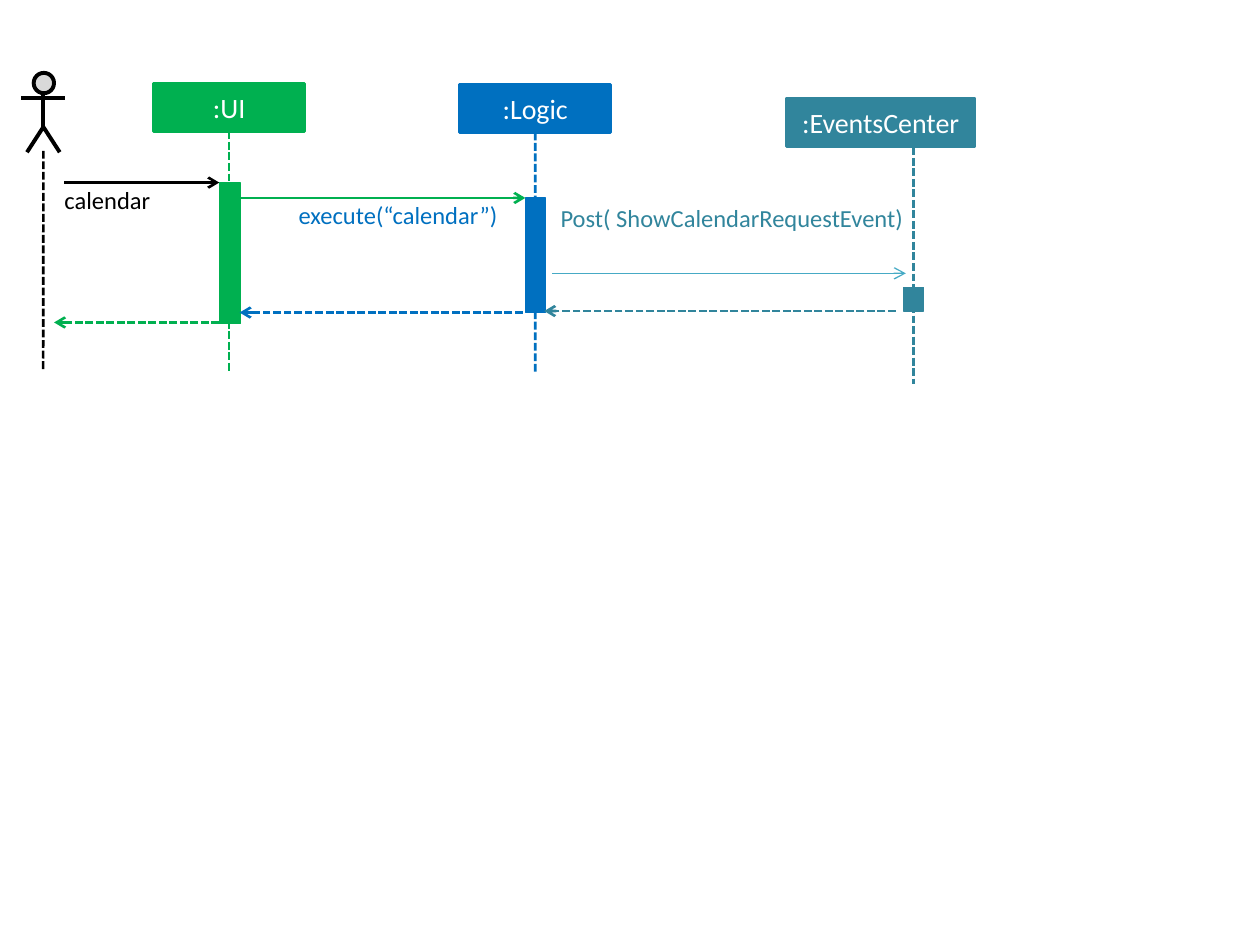
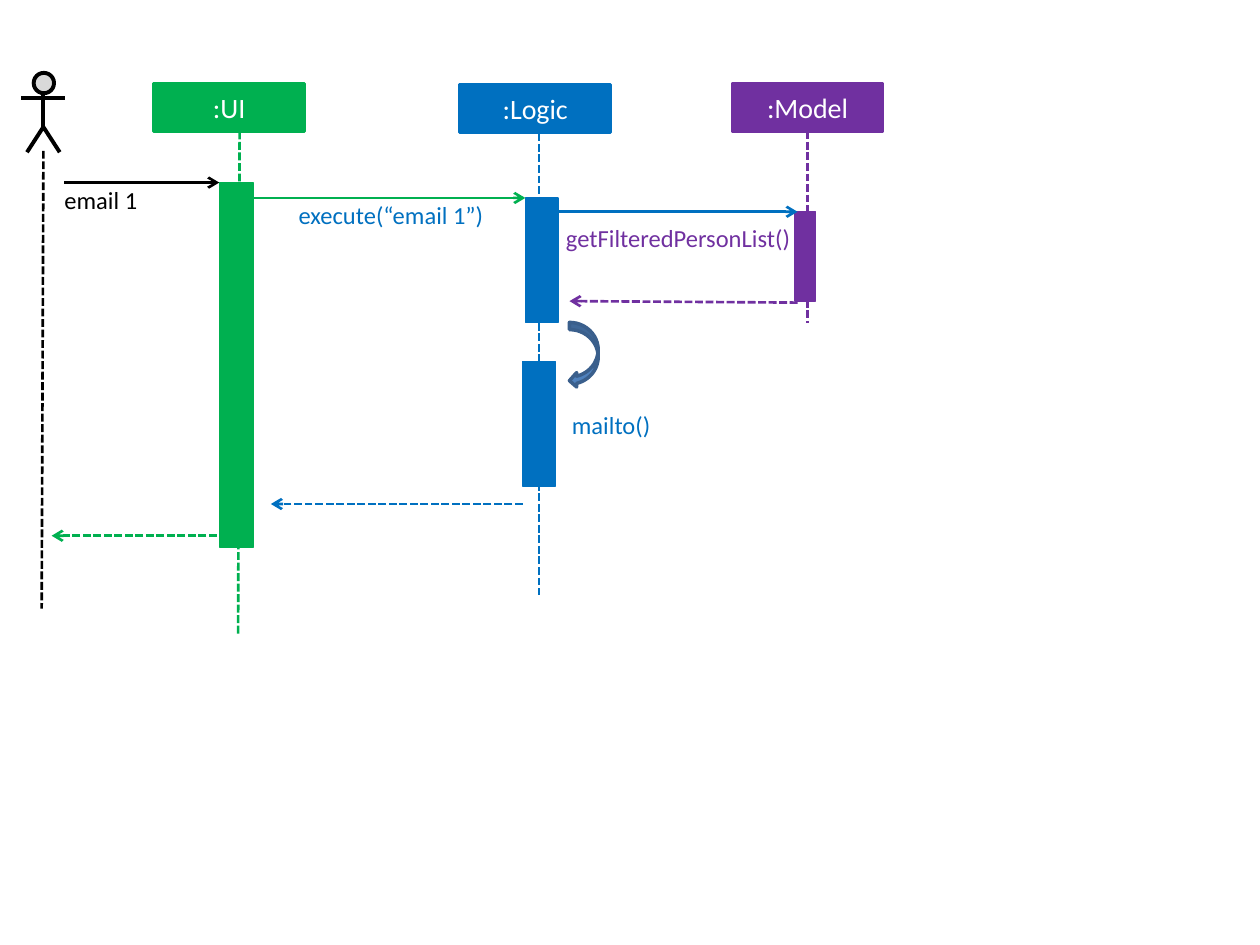
from pptx import Presentation
from pptx.dml.color import RGBColor
from pptx.enum.dml import MSO_LINE
from pptx.enum.shapes import MSO_CONNECTOR, MSO_SHAPE
from pptx.enum.text import MSO_ANCHOR, MSO_AUTO_SIZE, PP_ALIGN
from pptx.oxml.ns import qn
from pptx.oxml.xmlchemy import OxmlElement
from pptx.util import Cm, Pt

STRAIGHT = MSO_CONNECTOR.STRAIGHT
SYSTEM_DASH = MSO_LINE.SQUARE_DOT
RECTANGLE = MSO_SHAPE.RECTANGLE
HEAD_CIRCLE = MSO_SHAPE.FLOWCHART_CONNECTOR
SELF_CALL = MSO_SHAPE.CURVED_LEFT_ARROW
MIDDLE, TOP = MSO_ANCHOR.MIDDLE, MSO_ANCHOR.TOP
CENTER, LEFT = PP_ALIGN.CENTER, PP_ALIGN.LEFT
FIT_TEXT = MSO_AUTO_SIZE.SHAPE_TO_FIT_TEXT

COLOURS = {
    "actor": "000000",
    "face": "D9D9D9",
    "ui": "00B050",
    "logic": "0070C0",
    "model": "7030A0",
    "events": "31859C",
    "post": "46AAC5",
    "self_call": "4F81BD",
    "self_call_edge": "3A5F8C",
    "white": "FFFFFF",
}
FONT = "Calibri"

# All places and lengths are in centimetres
HEADER_WIDTH, HEADER_HEIGHT = 3.04, 0.97
HEADER_MIDDLE = HEADER_WIDTH / 2
LABEL_HEIGHT = 0.61
UI_BOX = (3.1, 1.68, HEADER_WIDTH, HEADER_HEIGHT)
LOGIC_BOX = (9.27, 1.7, HEADER_WIDTH, HEADER_HEIGHT)
MODEL_BOX = (14.76, 1.68, HEADER_WIDTH, HEADER_HEIGHT)
EVENTS_BOX = (15.85, 1.98, 3.81, HEADER_HEIGHT)
ACTOR_BOX = (0.43, 1.47, 0.89, 1.6)


def colour_of(name):
    return RGBColor.from_string(COLOURS[name])


def write(shape, text, size=14, colour="white", alignment=LEFT, anchor=TOP):
    frame = shape.text_frame
    frame.word_wrap = True
    frame.vertical_anchor = anchor
    paragraph = frame.paragraphs[0]
    paragraph.text = text
    paragraph.alignment = alignment
    font = paragraph.font
    font.name, font.size = FONT, Pt(size)
    font.color.rgb = colour_of(colour)


def label(slide, text, left, top, width, colour):
    box = slide.shapes.add_textbox(Cm(left), Cm(top), Cm(width), Cm(LABEL_HEIGHT))
    frame = box.text_frame
    frame.margin_left = frame.margin_right = 0
    frame.margin_top = frame.margin_bottom = 0
    frame.auto_size = FIT_TEXT
    write(box, text, colour=colour)


def add_filled(shapes, kind, box, fill, edge, weight):
    shape = shapes.add_shape(kind, *(Cm(length) for length in box))
    shape.shadow.inherit = False
    shape.fill.solid()
    shape.fill.fore_color.rgb = colour_of(fill)
    shape.line.color.rgb = colour_of(edge)
    shape.line.width = Pt(weight)
    return shape


def add_line(shapes, start, end, colour, weight=1.5, dashed=False, arrow=False):
    connector = shapes.add_connector(
        STRAIGHT, *(Cm(length) for length in (*start, *end)))
    connector.line.color.rgb = colour_of(colour)
    connector.line.width = Pt(weight)
    if dashed:
        connector.line.dash_style = SYSTEM_DASH
    properties = connector._element.spPr
    if arrow:
        arrowhead = OxmlElement("a:tailEnd")
        arrowhead.set("type", "arrow")
        properties.find(qn("a:ln")).append(arrowhead)
    properties.append(OxmlElement("a:effectLst"))
    return connector


def message(slide, start, end, colour, weight=1.5):
    add_line(slide.shapes, start, end, colour, weight, arrow=True)


def reply(slide, start, end, colour):
    add_line(slide.shapes, start, end, colour, dashed=True, arrow=True)


def actor(slide, box, lifeline_end):
    """Stick figure; lifeline_end is relative to the box."""
    left, top, width, height = box
    spine = left + width / 2
    hip = top + 1.09
    figure = slide.shapes.add_group_shape().shapes
    # Head, spine and arms
    add_filled(figure, HEAD_CIRCLE, (left + 0.25, top, 0.41, 0.41),
               "face", "actor", 2.25)
    add_line(figure, (spine, top + 0.41), (spine, hip), "actor", 2.25)
    add_line(figure, (left, top + 0.51), (left + width, top + 0.51), "actor", 2.25)
    # Legs
    feet = top + height
    builder = figure.build_freeform(Cm(spine - 0.33), Cm(feet))
    builder.add_line_segments(
        [(Cm(spine), Cm(hip)), (Cm(spine + 0.33), Cm(feet))], close=False)
    legs = builder.convert_to_shape()
    legs.shadow.inherit = False
    legs.fill.background()
    legs.line.color.rgb = colour_of("actor")
    legs.line.width = Pt(2.25)
    # Lifeline
    end_x, end_y = lifeline_end
    add_line(slide.shapes, (spine, feet - 0.03), (left + end_x, top + end_y),
             "actor", dashed=True)


def participant(slide, name, colour, box, lifelines, bars):
    """Header, lifelines and execution bars, all relative to the header box."""
    left, top, width, height = box
    header = add_filled(slide.shapes, RECTANGLE, box, colour, colour, 1.5)
    write(header, name, size=16, alignment=CENTER, anchor=MIDDLE)
    for start_x, start_y, end_x, end_y in lifelines:
        lifeline = add_line(slide.shapes, (left + start_x, top + start_y),
                            (left + end_x, top + end_y), colour, dashed=True)
        if (start_x, start_y) == (width / 2, height):
            lifeline.begin_connect(header, 2)
    for bar_x, bar_y, bar_width, bar_height in bars:
        bar = (left + bar_x, top + bar_y, bar_width, bar_height)
        add_filled(slide.shapes, RECTANGLE, bar, colour, colour, 0.75)


def command_call(slide, command, execute_width):
    """The user's command and its hand-over from UI to Logic."""
    message(slide, (1.3, 3.68), (4.42, 3.68), "actor")
    label(slide, command, 1.3, 3.73, 2.39, "actor")
    message(slide, (4.83, 3.99), (10.59, 3.99), "ui")
    label(slide, f"execute(“{command}”)", 6.02, 4.04, execute_width, "logic")


def calendar_slide(presentation):
    slide = presentation.slides.add_slide(presentation.slide_layouts[6])
    # Participants
    actor(slide, ACTOR_BOX, (0.44, 6.02))
    participant(slide, ":UI", "ui", UI_BOX,
                [(HEADER_MIDDLE, HEADER_HEIGHT, HEADER_MIDDLE, 5.82)],
                [(1.32, 2.01, 0.43, 2.84)])
    participant(slide, ":Logic", "logic", LOGIC_BOX,
                [(HEADER_MIDDLE, HEADER_HEIGHT, HEADER_MIDDLE, 5.79)],
                [(1.32, 2.29, 0.41, 2.31)])
    participant(slide, ":EventsCenter", "events", EVENTS_BOX,
                [(2.57, 0.99, 2.57, 5.77)],
                [(2.36, 3.81, 0.41, 0.48)])
    # Messages
    command_call(slide, "calendar", 4.17)
    message(slide, (11.13, 5.51), (18.26, 5.51), "post", 0.75)
    label(slide, "Post( ShowCalendarRequestEvent)", 11.3, 4.09, 7.75, "events")
    # Replies
    reply(slide, (18.06, 6.27), (10.97, 6.27), "events")
    reply(slide, (10.54, 6.3), (4.83, 6.3), "logic")
    reply(slide, (4.42, 6.5), (1.09, 6.5), "ui")


def email_slide(presentation):
    slide = presentation.slides.add_slide(presentation.slide_layouts[6])
    # Participants
    actor(slide, ACTOR_BOX, (0.41, 10.8))
    participant(slide, ":UI", "ui", UI_BOX,
                [(1.73, HEADER_HEIGHT, 1.7, 11.13)],
                [(1.32, 2.01, 0.69, 7.34)])
    participant(slide, ":Logic", "logic", LOGIC_BOX,
                [(1.6, 0.99, 1.6, 5.79), (1.6, 5.49, 1.6, 10.29)],
                [(1.32, 2.29, 0.66, 2.51), (1.27, 5.59, 0.66, 2.51)])
    participant(slide, ":Model", "model", MODEL_BOX,
                [(HEADER_MIDDLE, HEADER_HEIGHT, HEADER_MIDDLE, 4.83)],
                [(1.27, 2.59, 0.41, 1.8)])
    # Messages
    command_call(slide, "email 1", 3.96)
    message(slide, (10.97, 4.27), (16.08, 4.27), "logic")
    label(slide, "getFilteredPersonList()", 11.41, 4.5, 4.72, "model")
    add_filled(slide.shapes, SELF_CALL, (11.48, 6.5, 0.58, 1.32),
               "self_call", "self_call_edge", 2)
    label(slide, "mailto()", 11.53, 8.26, 3.96, "logic")
    # Replies
    reply(slide, (16.08, 6.1), (11.48, 6.07), "model")
    reply(slide, (10.54, 10.16), (5.46, 10.16), "logic")
    reply(slide, (4.37, 10.8), (1.04, 10.8), "ui")


def main():
    presentation = Presentation()
    presentation.slide_width, presentation.slide_height = Cm(25.4), Cm(19.05)
    calendar_slide(presentation)
    email_slide(presentation)
    presentation.save("out.pptx")


if __name__ == "__main__":
    main()
